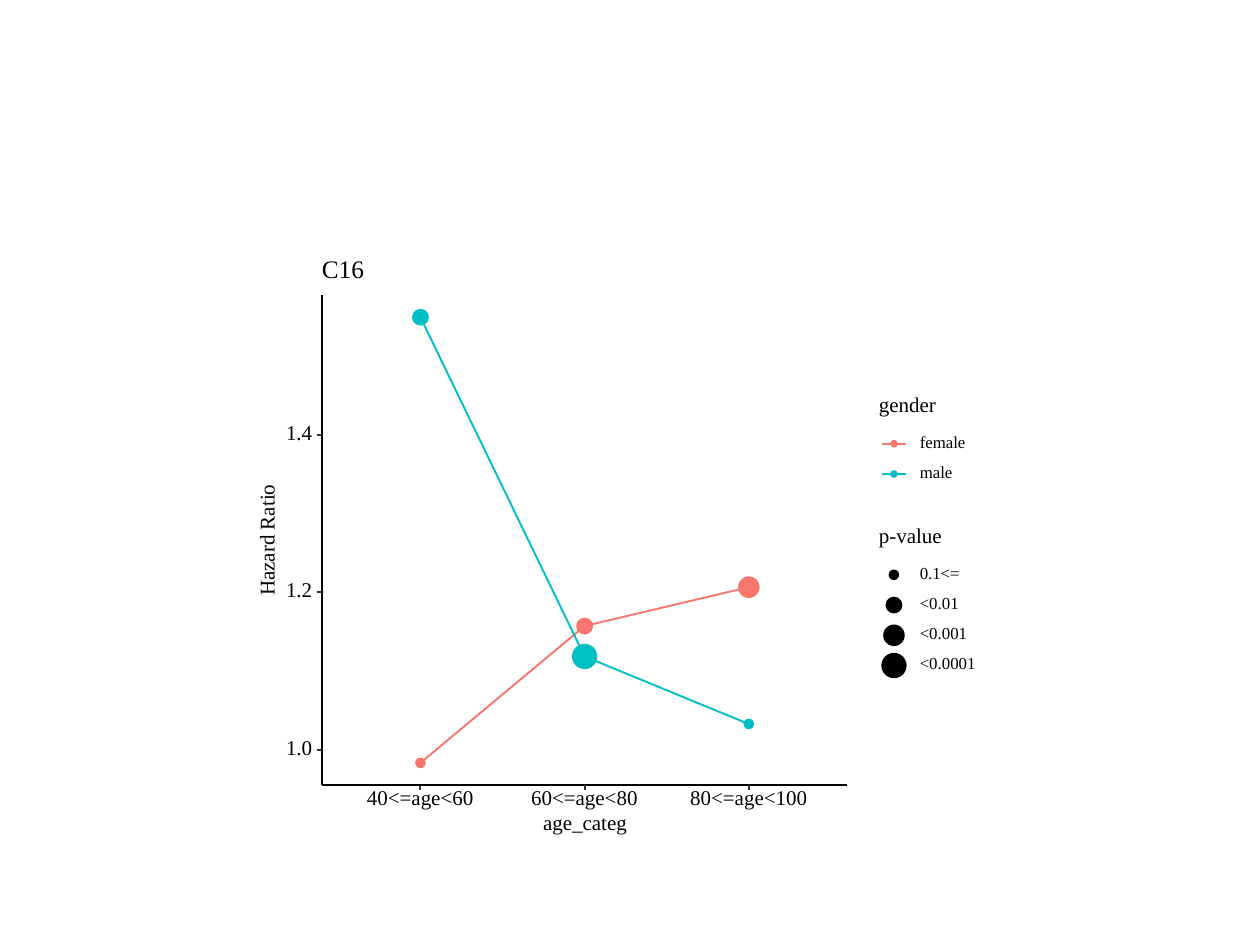
from pptx import Presentation
from pptx.dml.color import RGBColor
from pptx.enum.shapes import MSO_CONNECTOR, MSO_SHAPE
from pptx.enum.text import MSO_ANCHOR
from pptx.oxml import parse_xml
from pptx.oxml.ns import nsdecls
from pptx.util import Inches, Pt

BLACK = RGBColor(0x00, 0x00, 0x00)
GREY = RGBColor(0x33, 0x33, 0x33)
CORAL = RGBColor(0xF8, 0x76, 0x6D)
TEAL = RGBColor(0x00, 0xBF, 0xC4)

COLS = 100                    # square grid cells across the slide
FONT = "Times New Roman"
LINE, TICK, EDGE = 1.07, 1.16, 0.71
PAD = 0.4                     # spare width that keeps a label on one line

# Plot frame, in grid cells
LEFT, RIGHT, TOP, BASE = 25.55, 67.25, 23.4, 62.3
FIRST, STEP = 33.37, 13.03    # centre of first age group, gap to the next
AGES = {"40<=age<60": 8.5, "60<=age<80": 8.5, "80<=age<100": 9.3}

# Dot sizes by p-value
SIZES = {"0.1<=": 0.74, "<0.01": 1.24, "<0.001": 1.61, "<0.0001": 1.91}
# Gender: colour, row of each point, p-value of each point
GROUPS = {
    "female": (CORAL, (60.55, 49.69, 46.6), ("0.1<=", "<0.01", "<0.001")),
    "male": (TEAL, (25.18, 52.1, 57.46), ("<0.01", "<0.0001", "0.1<=")),
}


class Board:
    """The current slide with its style and grid."""

    def __init__(self, deck):
        self.slide = deck.slides.add_slide(deck.slide_layouts[6])
        self.shapes = self.slide.shapes
        self.cell = deck.slide_width / COLS

    def units(self, *cells):
        return [round(c * self.cell) for c in cells]

    def stroke(self, line, color, width=LINE):
        line.color.rgb = color
        line.width = Pt(width)

    def text(self, words, left, top, width, height, size=12, turn=0):
        box = self.shapes.add_textbox(
            *self.units(left, top, width + PAD, height))
        box.rotation = turn
        frame = box.text_frame
        style = {"margin_left": 0, "margin_right": 0, "margin_top": 0,
                 "margin_bottom": 0, "word_wrap": False,
                 "vertical_anchor": MSO_ANCHOR.MIDDLE}
        for name, value in style.items():
            setattr(frame, name, value)
        para = frame.paragraphs[0]
        para.line_spacing = Pt(size)
        run = para.add_run()
        run.text = words
        for name, value in {"name": FONT, "size": Pt(size)}.items():
            setattr(run.font, name, value)
        run.font.color.rgb = BLACK

    def line(self, x1, y1, x2, y2, color=BLACK, width=LINE):
        rule = self.shapes.add_connector(
            MSO_CONNECTOR.STRAIGHT, *self.units(x1, y1, x2, y2))
        self.stroke(rule.line, color, width)
        rule._element.spPr.append(
            parse_xml(f"<a:effectLst {nsdecls('a')}/>"))

    def trend(self, spots, color):
        start, *rest = [self.units(*spot) for spot in spots]
        pen = self.shapes.build_freeform(*start)
        pen.add_line_segments(rest, close=False)
        trend = pen.convert_to_shape()
        trend.shadow.inherit = False
        trend.fill.background()
        self.stroke(trend.line, color)

    def dot(self, x, y, size, color=BLACK):
        half = size / 2
        dot = self.shapes.add_shape(
            MSO_SHAPE.OVAL, *self.units(x - half, y - half, size, size))
        dot.shadow.inherit = False
        dot.fill.solid()
        dot.fill.fore_color.rgb = color
        self.stroke(dot.line, color, EDGE)


def main():
    deck = Presentation()
    deck.slide_width, deck.slide_height = Inches(10), Inches(7.5)
    board = Board(deck)
    marks = [FIRST + spot * STEP for spot in range(len(AGES))]

    # Trend lines, then the dots above them
    for color, rows, _ in GROUPS.values():
        board.trend(list(zip(marks, rows)), color)
    for color, rows, levels in GROUPS.values():
        for x, y, level in zip(marks, rows, levels):
            board.dot(x, y, SIZES[level], color)

    # Value axis
    board.line(LEFT, BASE, LEFT, TOP)
    for step, ratio in enumerate(("1.0", "1.2", "1.4")):
        y = 59.5 - 12.5 * step
        board.line(LEFT - 0.4, y, LEFT, y, GREY, TICK)
        board.text(ratio, 22.7, y - 0.6, 2.1, 1.1)
    board.text("Hazard Ratio", 16.7, 42.1, 8.8, 1.2, turn=270)

    # Age axis
    board.line(LEFT, BASE, RIGHT, BASE)
    for x, (age, width) in zip(marks, AGES.items()):
        board.line(x, BASE + 0.4, x, BASE, GREY, TICK)
        board.text(age, x - width / 2, 62.7, width, 1.5)
    board.text("age_categ", 43.1, 64.7, 6.7, 1.4)

    # Gender legend
    key, label, gap = 70.95, 73, 2.4
    board.text("gender", 69.75, 31.5, 4.5, 1.5)
    for row, (name, width) in enumerate({"female": 3.6, "male": 2.6}.items()):
        y = 35.22 + row * gap
        color = GROUPS[name][0]
        board.line(key - 0.95, y, key + 0.95, y, color)
        board.dot(key, y, 0.5, color)
        board.text(name, label, y - 0.5, width, 0.9, 9.6)

    # Dot size legend
    board.text("p-value", 69.75, 41.9, 5, 1.5)
    widths = (3.2, 3.1, 3.8, 4.4)
    for row, ((name, size), width) in enumerate(zip(SIZES.items(), widths)):
        y = 45.62 + row * gap
        board.dot(key, y, size)
        board.text(name, label, y - 0.5, width, 0.9, 9.6)

    # Title
    board.text("C16", LEFT, 20.8, 3.3, 1.4, 14.4)
    deck.save("out.pptx")


if __name__ == "__main__":
    main()
